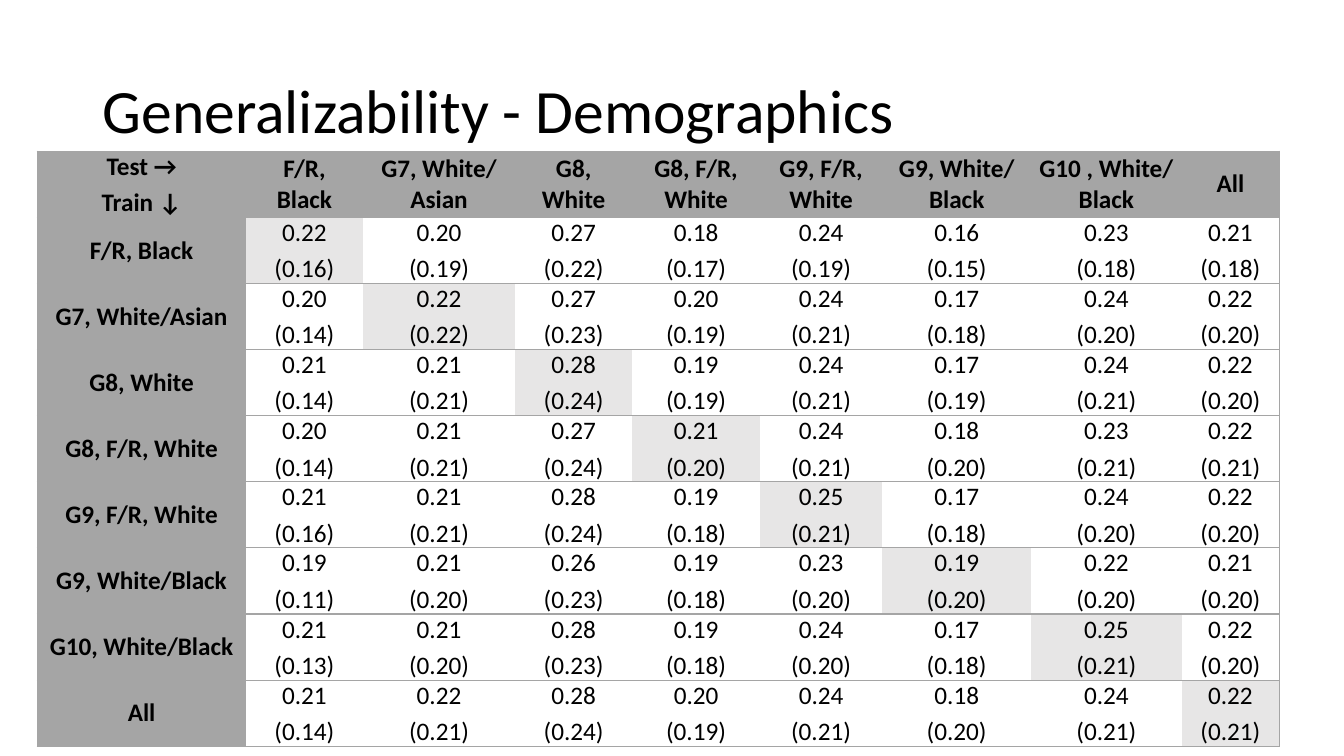
from lxml import etree
from pptx import Presentation
from pptx.dml.color import RGBColor
from pptx.enum.text import MSO_ANCHOR as Anchor, PP_ALIGN as Align
from pptx.oxml.ns import qn
from pptx.util import Inches, Pt

TITLE = "Generalizability - Demographics"
FONT = "Calibri"
COLORS = {"text": "000000", "header": "A5A5A5", "diagonal": "E7E6E6", "body": "FFFFFF"}
HEADERS = ["Test →\nTrain ↓", "F/R, Black", "G7, White/ Asian", "G8, White",
           "G8, F/R, White", "G9, F/R, White", "G9, White/ Black",
           "G10 , White/ Black", "All"]
RESULTS = [
    ("F/R, Black", "0.22 (0.16)", "0.20 (0.19)", "0.27 (0.22)", "0.18 (0.17)",
     "0.24 (0.19)", "0.16 (0.15)", "0.23 (0.18)", "0.21 (0.18)"),
    ("G7, White/Asian", "0.20 (0.14)", "0.22 (0.22)", "0.27 (0.23)", "0.20 (0.19)",
     "0.24 (0.21)", "0.17 (0.18)", "0.24 (0.20)", "0.22 (0.20)"),
    ("G8, White", "0.21 (0.14)", "0.21 (0.21)", "0.28 (0.24)", "0.19 (0.19)",
     "0.24 (0.21)", "0.17 (0.19)", "0.24 (0.21)", "0.22 (0.20)"),
    ("G8, F/R, White", "0.20 (0.14)", "0.21 (0.21)", "0.27 (0.24)", "0.21 (0.20)",
     "0.24 (0.21)", "0.18 (0.20)", "0.23 (0.21)", "0.22 (0.21)"),
    ("G9, F/R, White", "0.21 (0.16)", "0.21 (0.21)", "0.28 (0.24)", "0.19 (0.18)",
     "0.25 (0.21)", "0.17 (0.18)", "0.24 (0.20)", "0.22 (0.20)"),
    ("G9, White/Black", "0.19 (0.11)", "0.21 (0.20)", "0.26 (0.23)", "0.19 (0.18)",
     "0.23 (0.20)", "0.19 (0.20)", "0.22 (0.20)", "0.21 (0.20)"),
    ("G10, White/Black", "0.21 (0.13)", "0.21 (0.20)", "0.28 (0.23)", "0.19 (0.18)",
     "0.24 (0.20)", "0.17 (0.18)", "0.25 (0.21)", "0.22 (0.20)"),
    ("All", "0.21 (0.14)", "0.22 (0.21)", "0.28 (0.24)", "0.20 (0.19)",
     "0.24 (0.21)", "0.18 (0.20)", "0.24 (0.21)", "0.22 (0.21)"),
]
COLUMN_WIDTHS = [2.07, 1.16, 1.51, 1.16, 1.27, 1.21, 1.48, 1.49, 0.97]
ROW_HEIGHTS = [0.63, 0.6, 0.63, 0.6, 0.6, 0.6, 0.63, 0.63, 0.6]
PLAIN_TABLE_STYLE = "{2D5ABB26-0587-4C30-8999-92F81FD0307C}"


def add_run(paragraph, text, size, bold=False):
    run = paragraph.add_run()
    run.text = text
    run.font.name = FONT
    run.font.size = Pt(size)
    run.font.bold = bold
    run.font.color.rgb = RGBColor.from_string(COLORS["text"])


def add_title(slide):
    box = slide.shapes.add_textbox(Inches(0.92), Inches(0.4), Inches(11.5), Inches(1.45))
    frame = box.text_frame
    frame.word_wrap = True
    frame.vertical_anchor = Anchor.MIDDLE
    paragraph = frame.paragraphs[0]
    paragraph.line_spacing = 0.9
    add_run(paragraph, TITLE, 44)


def set_borders(cell, sides):
    """Draw 1 pt lines; sides are in schema order and go before the fill."""
    properties = cell._tc.get_or_add_tcPr()
    for index, side in enumerate(sides):
        line = etree.Element(qn(f"a:ln{side}"), w=str(Pt(1)))
        fill = etree.SubElement(line, qn("a:solidFill"))
        etree.SubElement(fill, qn("a:srgbClr"), val=COLORS["header"])
        properties.insert(index, line)


def fill_cell(cell, lines, color, bold):
    cell.fill.solid()
    cell.fill.fore_color.rgb = RGBColor.from_string(color)
    cell.vertical_anchor = Anchor.MIDDLE
    cell.margin_left = cell.margin_right = Inches(0.07)
    cell.margin_top = cell.margin_bottom = 0
    frame = cell.text_frame
    for index, text in enumerate(lines):
        paragraph = frame.add_paragraph() if index else frame.paragraphs[0]
        paragraph.alignment = Align.CENTER
        paragraph.space_after = Pt(4)
        add_run(paragraph, text, 18, bold)


def add_results_table(slide):
    rows = [HEADERS, *RESULTS]
    frame = slide.shapes.add_table(
        len(rows), len(HEADERS), Inches(0.37), Inches(1.5),
        Inches(sum(COLUMN_WIDTHS)), Inches(sum(ROW_HEIGHTS)))
    table = frame.table
    table.horz_banding = False
    table._tbl.tblPr.find(qn("a:tableStyleId")).text = PLAIN_TABLE_STYLE
    for column, width in zip(table.columns, COLUMN_WIDTHS):
        column.width = Inches(width)
    for row, height in zip(table.rows, ROW_HEIGHTS):
        row.height = Inches(height)
    last = len(HEADERS) - 1
    for r, row in enumerate(rows):
        for c, text in enumerate(row):
            heading = r == 0 or c == 0
            kind = "header" if heading else "diagonal" if r == c else "body"
            lines = text.split("\n") if heading else text.split()
            cell = table.cell(r, c)
            fill_cell(cell, lines, COLORS[kind], heading)
            sides = {0: "LTB", last: "RTB"}.get(c, "TB")
            set_borders(cell, sides)


def main():
    presentation = Presentation()
    presentation.slide_width = Inches(13.33)
    presentation.slide_height = Inches(7.5)
    slide = presentation.slides.add_slide(presentation.slide_layouts[6])
    add_title(slide)
    add_results_table(slide)
    presentation.save("out.pptx")


if __name__ == "__main__":
    main()
